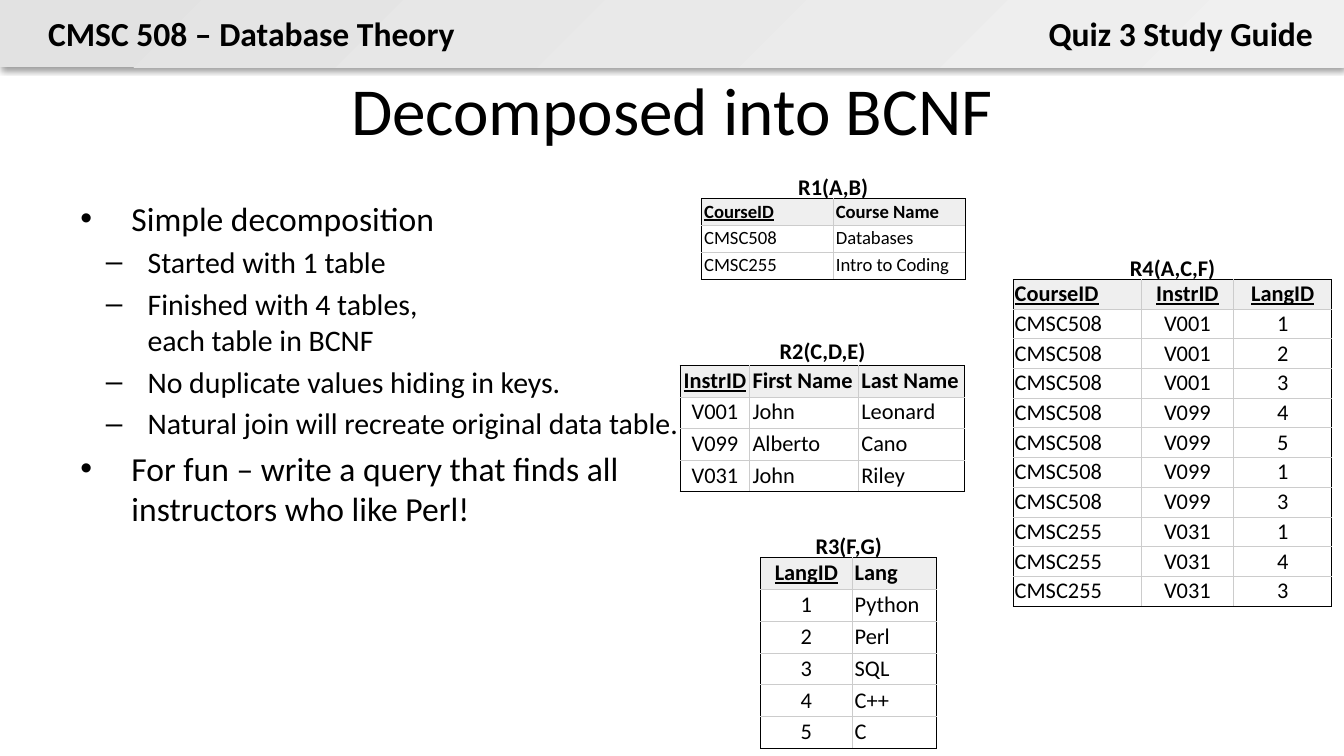
from lxml.etree import SubElement
from pptx import Presentation
from pptx.dml.color import RGBColor
from pptx.enum.shapes import MSO_SHAPE
from pptx.enum.text import MSO_ANCHOR, PP_ALIGN
from pptx.oxml import parse_xml
from pptx.oxml.ns import nsdecls, qn
from pptx.util import Inches, Pt

FONT = "Calibri"
INK, GRID, HEADER_FILL = "000000", "CCCCCC", "EFEFEF"
LEFT, CENTER, RIGHT = PP_ALIGN.LEFT, PP_ALIGN.CENTER, PP_ALIGN.RIGHT

BULLETS = [
    (0, "Simple decomposition"),
    (1, "Started with 1 table"),
    (1, "Finished with 4 tables,\neach table in BCNF"),
    (1, "No duplicate values hiding in keys."),
    (1, "Natural join will recreate original data table."),
    (0, "For fun – write a query that finds all instructors who like Perl!"),
]
# level: (bullet, left margin, hanging indent, size)
BULLET_STYLES = {0: ("•", 0.38, 0.38, 18), 1: ("–", 0.5, 0.31, 16)}

COURSES = [("CourseID", "Course Name"), ("CMSC508", "Databases"),
           ("CMSC255", "Intro to Coding")]
INSTRUCTORS = [("InstrID", "First Name", "Last Name"), ("V001", "John", "Leonard"),
               ("V099", "Alberto", "Cano"), ("V031", "John", "Riley")]
LANGUAGES = [("LangID", "Lang"), ("1", "Python"), ("2", "Perl"), ("3", "SQL"),
             ("4", "C++"), ("5", "C")]
TAUGHT = [("CMSC508", "V001", "123"), ("CMSC508", "V099", "4513"),
          ("CMSC255", "V031", "143")]
ASSIGNMENTS = [("CourseID", "InstrID", "LangID")] + [
    (course, instructor, language)
    for course, instructor, languages in TAUGHT for language in languages]


def color(hex_code):
    return RGBColor.from_string(hex_code)


def add_run(paragraph, text, size, bold=False, underline=False):
    run = paragraph.add_run()
    run.text = text
    font = run.font
    font.name, font.size, font.bold, font.underline = FONT, Pt(size), bold, underline
    font.color.rgb = color(INK)


def add_label(slide, left, top, width, height, text, size, align, wrap=True):
    frame = slide.shapes.add_textbox(
        Inches(left), Inches(top), Inches(width), Inches(height)).text_frame
    frame.word_wrap = wrap
    frame.paragraphs[0].alignment = align
    add_run(frame.paragraphs[0], text, size, bold=True)


def add_header_bar(slide):
    bar = slide.shapes.add_shape(
        MSO_SHAPE.RECTANGLE, 0, 0, Inches(10), Inches(0.5))
    bar.line.fill.background()
    bar.fill.gradient()
    bar.fill.gradient_angle = 315
    for stop, shade in zip(bar.fill.gradient_stops, ("E2E2E2", "F0F0F0")):
        stop.color.rgb = color(shade)
    bar.element.spPr.append(parse_xml(
        f'<a:effectLst {nsdecls("a")}>'
        f'<a:outerShdw blurRad="{Pt(3.1)}" dist="{Pt(1.6)}" dir="5400000" rotWithShape="0">'
        f'<a:srgbClr val="{INK}"><a:alpha val="38000"/></a:srgbClr>'
        '</a:outerShdw></a:effectLst>'))


def set_title(slide, text):
    title = slide.shapes.title
    title.left, title.top = Inches(0.5), Inches(0.55)
    title.width, title.height = Inches(9), Inches(0.52)
    title.text_frame.vertical_anchor = MSO_ANCHOR.MIDDLE
    title.text_frame.paragraphs[0].alignment = CENTER
    add_run(title.text_frame.paragraphs[0], text, 36)


def add_bullets(slide, items):
    frame = slide.shapes.add_textbox(
        Inches(0.5), Inches(1.42), Inches(4.65), Inches(4.09)).text_frame
    frame.word_wrap = True
    frame.margin_right = Inches(0.05)
    for index, (level, text) in enumerate(items):
        paragraph = frame.add_paragraph() if index else frame.paragraphs[0]
        mark, margin, hanging, size = BULLET_STYLES[level]
        paragraph.level = level
        if index:
            paragraph.space_before = Pt(size * 0.2)
        properties = paragraph._p.get_or_add_pPr()
        properties.set("marL", str(Inches(margin)))
        properties.set("indent", str(-Inches(hanging)))
        SubElement(properties, qn("a:buFont"), typeface="Arial")
        SubElement(properties, qn("a:buChar"), char=mark)
        for line_number, line in enumerate(text.split("\n")):
            if line_number:
                paragraph.add_line_break()
            add_run(paragraph, line, size)


def set_borders(cell, outer_sides):
    """Draw the sides on the table's rim in ink and the others in grid grey."""
    properties = cell._tc.get_or_add_tcPr()
    for side in "LRTB":
        line = SubElement(properties, qn(f"a:ln{side}"), w=str(Pt(0.6)))
        fill = SubElement(line, qn("a:solidFill"))
        SubElement(fill, qn("a:srgbClr"), val=INK if side in outer_sides else GRID)


def add_relation(slide, name, left, top, widths, height, rows, aligns, keys,
                 size=12, inset=0.02, caption_gap=0.24):
    """Add a table of equal rows; the first `keys` columns have underlined headings."""
    width = sum(widths)
    table = slide.shapes.add_table(
        len(rows), len(widths), Inches(left), Inches(top),
        Inches(width), Inches(height)).table
    table.first_row = table.horz_banding = False
    for column, column_width in zip(table.columns, widths):
        column.width = Inches(column_width)
    for r, values in enumerate(rows):
        table.rows[r].height = Inches(height / len(rows))
        for c, value in enumerate(values):
            cell = table.cell(r, c)
            rim = {"L": c == 0, "R": c == len(widths) - 1,
                   "T": r == 0, "B": r == len(rows) - 1}
            set_borders(cell, [side for side, on_rim in rim.items() if on_rim])
            if r == 0:
                cell.fill.solid()
                cell.fill.fore_color.rgb = color(HEADER_FILL)
            else:
                cell.fill.background()
            cell.vertical_anchor = MSO_ANCHOR.BOTTOM
            cell.margin_left = cell.margin_right = cell.margin_bottom = Inches(inset)
            cell.margin_top = Inches(inset - 0.01)
            paragraph = cell.text_frame.paragraphs[0]
            paragraph.alignment = aligns[c]
            add_run(paragraph, value, size, bold=r == 0, underline=r == 0 and c < keys)
    add_label(slide, left, top - caption_gap, width, 0.3, name, 12, CENTER)


def main():
    presentation = Presentation()
    presentation.slide_width = Inches(10)
    presentation.slide_height = Inches(10 * 9 / 16)
    slide = presentation.slides.add_slide(presentation.slide_layouts[5])

    add_header_bar(slide)
    add_label(slide, 0.26, 0.05, 3.26, 0.4, "CMSC 508 – Database Theory", 18, LEFT, False)
    add_label(slide, 7.68, 0.05, 2.19, 0.4, "Quiz 3 Study Guide", 18, RIGHT, False)
    set_title(slide, "Decomposed into BCNF")
    add_bullets(slide, BULLETS)

    add_relation(slide, "R1(A,B)", 5.22, 1.48, (0.98, 0.98), 0.6, COURSES,
                 (LEFT, LEFT), keys=1, size=10)
    add_relation(slide, "R2(C,D,E)", 5.06, 2.72, (0.52, 0.81, 0.79), 0.94, INSTRUCTORS,
                 (CENTER, LEFT, LEFT), keys=1, caption_gap=0.26)
    add_relation(slide, "R3(F,G)", 5.66, 4.15, (0.68, 0.63), 1.42, LANGUAGES,
                 (CENTER, LEFT), keys=1)
    add_relation(slide, "R4(A,C,F)", 7.54, 2.08, (0.95, 0.69, 0.73), 2.43, ASSIGNMENTS,
                 (LEFT, CENTER, CENTER), keys=3, inset=0.01)

    presentation.save("out.pptx")


if __name__ == "__main__":
    main()
